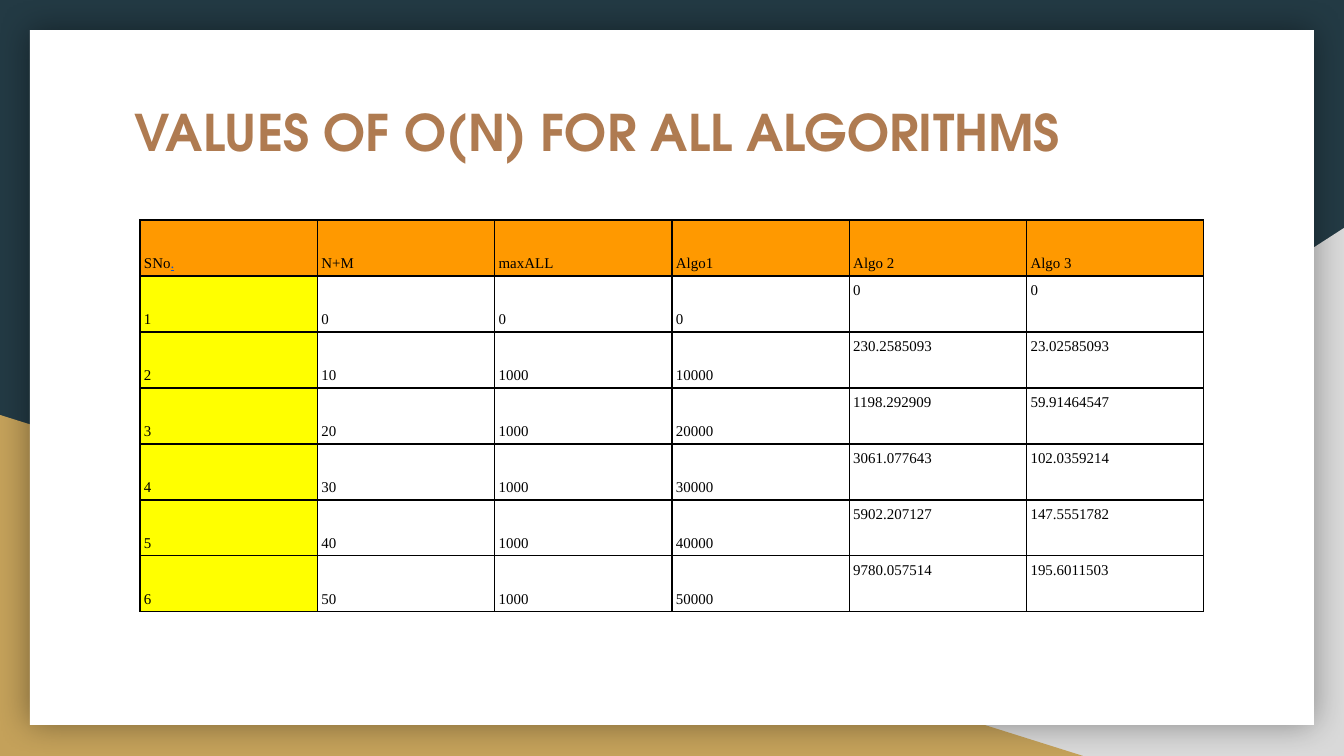
from lxml.etree import SubElement as Sub
from pptx import Presentation
from pptx.dml.color import RGBColor as RGB
from pptx.enum.shapes import MSO_SHAPE as Kind
from pptx.enum.text import MSO_ANCHOR as Anchor, MSO_AUTO_SIZE as Auto, PP_ALIGN as Align
from pptx.oxml.ns import qn
from pptx.util import Emu, Pt

NAVY = RGB(0x23, 0x3A, 0x44)
GRAY = RGB(0xD9, 0xD9, 0xD9)
GOLD = RGB(0xC4, 0xA1, 0x5A)
BROWN = RGB(0xAF, 0x7B, 0x51)
WHITE = RGB(0xFF, 0xFF, 0xFF)
BLACK = RGB(0, 0, 0)
BLUE = RGB(0x11, 0x55, 0xCC)
ORANGE = RGB(0xFF, 0x99, 0x00)
YELLOW = RGB(0xFF, 0xFF, 0x00)

HEADS = ["SNo", "N+M", "maxALL", "Algo1", "Algo 2", "Algo 3"]
COSTS = [
    ("0", "0"),
    ("230.2585093", "23.02585093"),
    ("1198.292909", "59.91464547"),
    ("3061.077643", "102.0359214"),
    ("5902.207127", "147.5551782"),
    ("9780.057514", "195.6011503"),
]


def px(n):
    return Emu(round(n * 914400 / 134.4))


class Deck:
    """Holds the style and the current slide, with a method per element."""

    head = "TeX Gyre Adventor"
    body = "Times New Roman"
    lead = 1.15

    def __init__(self, wide, high):
        self.prs = Presentation()
        self.prs.slide_width, self.prs.slide_height = px(wide), px(high)
        self.slide = self.prs.slides.add_slide(self.prs.slide_layouts[5])
        fill = self.slide.background.fill
        fill.solid()
        fill.fore_color.rgb = NAVY

    def shape(self, kind, box, color, flip=False):
        shape = self.slide.shapes.add_shape(kind, *map(px, box))
        shape.shadow.inherit = False
        shape.fill.solid()
        shape.fill.fore_color.rgb = color
        shape.line.fill.background()
        if flip:
            shape._element.spPr.xfrm.set("flipH", "1")
        return shape

    def glow(self, shape, blur, alpha):
        effects = shape._element.spPr.find(qn("a:effectLst"))
        shadow = Sub(effects, qn("a:outerShdw"), blurRad=str(Pt(blur)), dist="0", dir="0",
                     algn="ctr", rotWithShape="0")
        color = Sub(shadow, qn("a:srgbClr"), val=str(BLACK))
        Sub(color, qn("a:alpha"), val=str(alpha * 1000))

    def font(self, run, name, size, color, bold=False):
        font = run.font
        font.name, font.size, font.bold = name, Pt(size), bold
        font.color.rgb = color

    def title(self, text, box):
        title = self.slide.shapes.title
        title.left, title.top, title.width, title.height = map(px, box)
        self.slide.shapes._spTree.append(title._element)
        frame = title.text_frame
        frame.text = text
        frame.word_wrap, frame.auto_size = True, Auto.NONE
        frame.vertical_anchor = Anchor.TOP
        frame.margin_left = frame.margin_right = px(13)
        frame.margin_top = frame.margin_bottom = px(13)
        para = frame.paragraphs[0]
        para.alignment, para.line_spacing = Align.JUSTIFY, self.lead
        self.font(para.runs[0], self.head, 27, BROWN, True)

    def border(self, cell):
        props = cell._tc.get_or_add_tcPr()
        for side in ("a:lnL", "a:lnR", "a:lnT", "a:lnB"):
            line = Sub(props, qn(side), w=str(Pt(0.75)))
            Sub(Sub(line, qn("a:solidFill")), qn("a:srgbClr"), val=str(BLACK))

    def cell(self, cell, text, color, anchor):
        cell.text_frame.text = text
        cell.vertical_anchor = anchor
        cell.margin_left = cell.margin_right = px(4)
        cell.margin_top = cell.margin_bottom = px(4)
        para = cell.text_frame.paragraphs[0]
        para.line_spacing = self.lead
        self.font(para.runs[0], self.body, 8, BLACK)
        self.border(cell)
        if color is None:
            cell.fill.background()
        else:
            cell.fill.solid()
            cell.fill.fore_color.rgb = color

    def table(self, rows, box):
        shape = self.slide.shapes.add_table(len(rows), len(rows[0]), *map(px, box))
        table = shape.table
        table.first_row = table.horz_banding = False
        for r, row in enumerate(rows):
            for c, text in enumerate(row):
                color = ORANGE if r == 0 else YELLOW if c == 0 else None
                anchor = Anchor.TOP if r and c > 3 else Anchor.BOTTOM
                self.cell(table.cell(r, c), text, color, anchor)
        return table

    def link(self, cell, text):
        run = cell.text_frame.paragraphs[0].add_run()
        run.text = text
        self.font(run, self.body, 8, BLUE)
        run.font.underline = True

    def save(self):
        self.prs.save("out.pptx")


def main():
    deck = Deck(1344, 756)
    deck.shape(Kind.RIGHT_TRIANGLE, (527, 228, 817, 528), GRAY, flip=True)
    deck.shape(Kind.RIGHT_TRIANGLE, (0, 415, 1083, 341), GOLD)
    panel = deck.shape(Kind.RECTANGLE, (30, 30, 1284, 695), WHITE)
    deck.glow(panel, 18, 40)
    deck.title("VALUES OF O(N) FOR ALL ALGORITHMS", (121, 79, 1103, 140))
    rows = [HEADS]
    for i, costs in enumerate(COSTS):
        limit = "1000" if i else "0"
        rows.append([str(i + 1), str(i * 10), limit, str(i * 10000), *costs])
    table = deck.table(rows, (140, 220, 1064, 392))
    deck.link(table.cell(0, 0), ".")
    deck.save()


if __name__ == "__main__":
    main()
